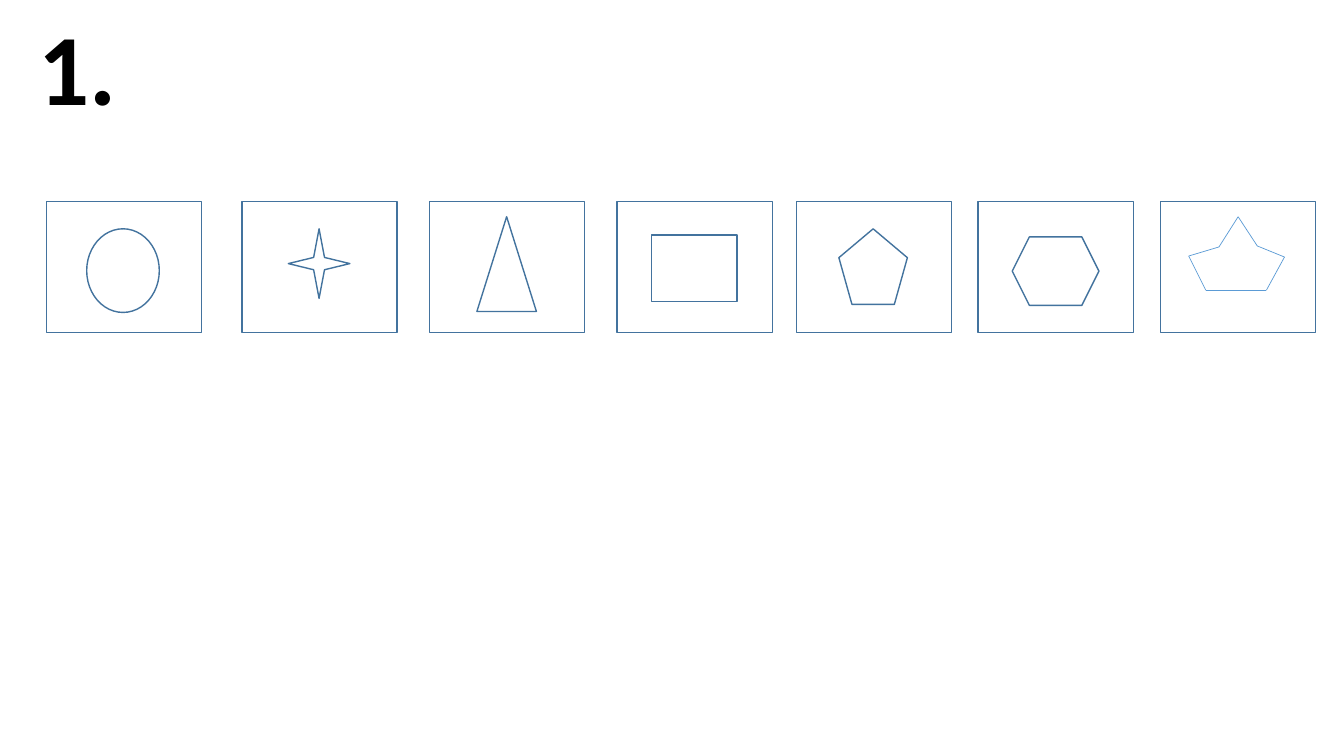
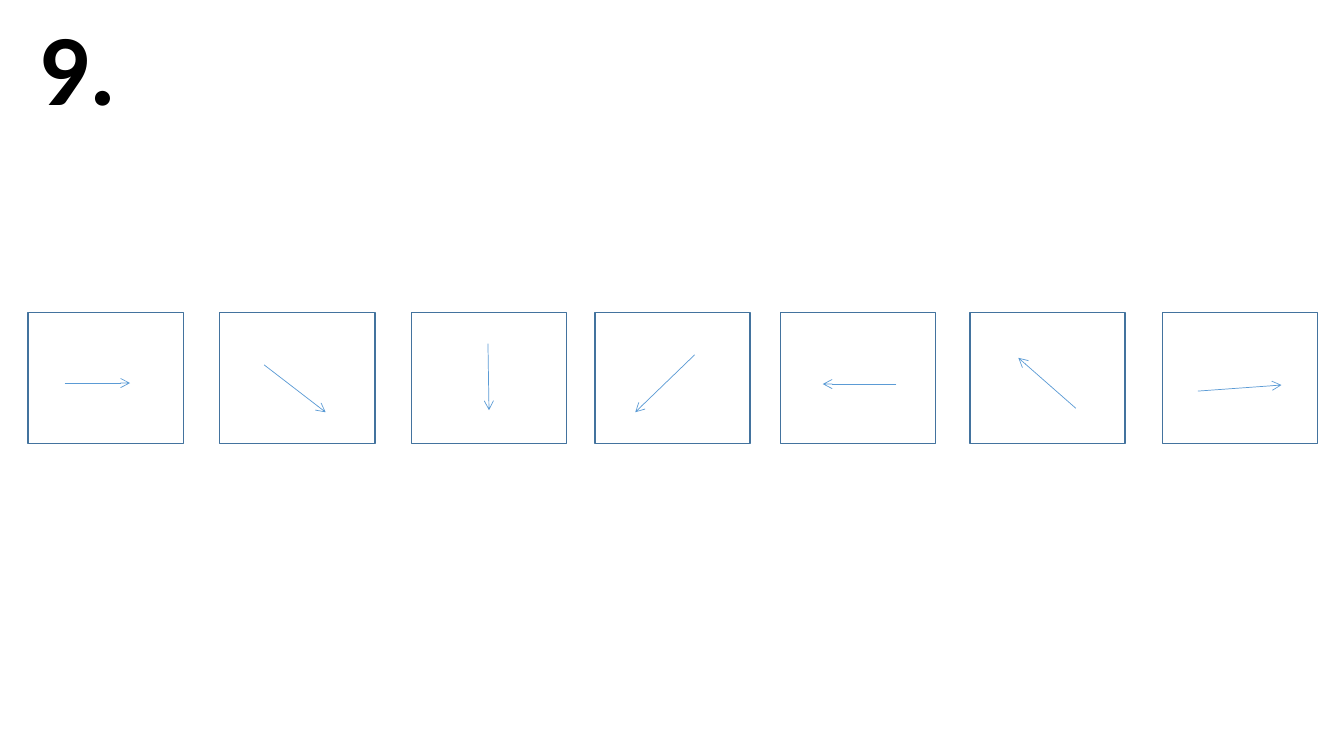
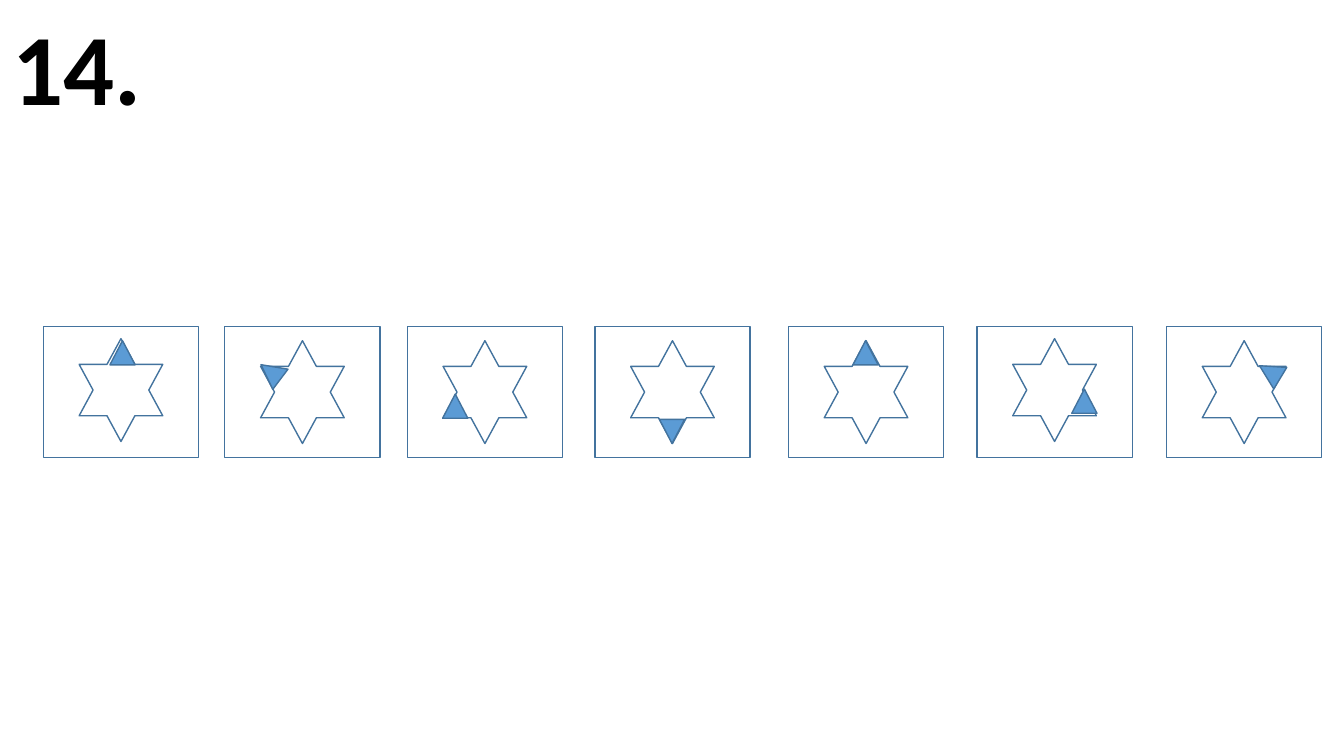
from pptx import Presentation
from pptx.dml.color import RGBColor
from pptx.enum.shapes import MSO_CONNECTOR as Conn, MSO_SHAPE as Geo
from pptx.enum.text import MSO_ANCHOR as Anchor, MSO_AUTO_SIZE as Fit, PP_ALIGN as Align
from pptx.oxml.ns import qn
from pptx.util import Inches, Pt
from lxml.etree import SubElement

# Shared style
HUES = {"ink": "000000", "paper": "FFFFFF", "edge": "43739E", "blue": "5B9BD5"}
FONT = "Calibri"
CARD = (1.54, 1.3)

# Slide 1: a different outline in each card
ROW1 = (2, [0.46, 2.4, 4.26, 6.12, 7.9, 9.7, 11.51])
FORMS = [
    (Geo.OVAL, 0.86, 2.27, 0.72, 0.83),
    (Geo.STAR_4_POINT, 2.86, 2.27, 0.61, 0.69),
    (Geo.ISOSCELES_TRIANGLE, 4.73, 2.15, 0.59, 0.94),
    (Geo.RECTANGLE, 6.46, 2.33, 0.85, 0.66),
    (Geo.REGULAR_PENTAGON, 8.32, 2.27, 0.68, 0.75),
    (Geo.HEXAGON, 10.04, 2.35, 0.86, 0.68),
]
CROWN = [(12.28, 2.15), (12.09, 2.45), (11.79, 2.54), (11.96, 2.88),
         (12.56, 2.88), (12.74, 2.55), (12.47, 2.44)]

# Slide 2: arrows that turn, as start and end points
ROW2 = (3.1, [0.28, 2.18, 4.08, 5.9, 7.74, 9.62, 11.53])
ARROWS = [
    ((0.64, 3.8), (1.29, 3.8)),
    ((2.62, 3.62), (3.23, 4.09)),
    ((4.84, 3.41), (4.85, 4.07)),
    ((6.89, 3.52), (6.3, 4.09)),
    ((8.89, 3.81), (8.16, 3.81)),
    ((10.67, 4.05), (10.1, 3.55)),
    ((11.88, 3.88), (12.71, 3.82)),
]

# Slide 3: star top, then left, top and turn of its filled tip
ROW3 = (3.24, [0.43, 2.23, 4.04, 5.9, 7.82, 9.69, 11.57])
STAR = (0.83, 1.02)
TIP = (0.25, 0.24)
STARS = [
    (3.36, 1.09, 3.38, 0),
    (3.38, 2.56, 3.57, 307),
    (3.38, 4.39, 3.91, 0),
    (3.38, 6.54, 4.16, 180),
    (3.38, 8.46, 3.38, 0),
    (3.36, 10.63, 3.86, 0),
    (3.38, 12.47, 3.57, 301),
]


def hue(name):
    return RGBColor.from_string(HUES[name])


def draw(slide, geo, x, y, w, h, fill="paper", turn=0):
    shape = slide.shapes.add_shape(geo, Inches(x), Inches(y), Inches(w), Inches(h))
    shape.shadow.inherit = False
    shape.rotation = turn
    shape.fill.solid()
    shape.fill.fore_color.rgb = hue(fill)
    shape.line.color.rgb = hue("edge")
    shape.line.width = Pt(1)


def link(slide, start, end, head=False):
    line = slide.shapes.add_connector(Conn.STRAIGHT, *map(Inches, start + end))
    line.line.color.rgb = hue("blue")
    line.line.width = Pt(0.5)
    if head:
        SubElement(line.line._get_or_add_ln(), qn("a:tailEnd"), type="arrow")
    SubElement(line._element.spPr, qn("a:effectLst"))


def start_slide(deck, label, left, width, row):
    slide = deck.slides.add_slide(deck.slide_layouts[5])
    title = slide.shapes.title
    title.left, title.top = Inches(left), Inches(0)
    title.width, title.height = Inches(width), Inches(1.31)
    frame = title.text_frame
    frame.text = label
    frame.word_wrap = False
    # Narrow box: without side margins the label stays on one line
    frame.margin_left = frame.margin_right = 0
    frame.auto_size = Fit.NONE
    frame.vertical_anchor = Anchor.TOP
    para = frame.paragraphs[0]
    para.alignment = Align.CENTER
    font = para.runs[0].font
    font.name, font.size, font.bold = FONT, Pt(72), True
    font.color.rgb = hue("ink")
    top, lefts = row
    for x in lefts:
        draw(slide, Geo.RECTANGLE, x, top, *CARD)
    return slide


def main():
    deck = Presentation()
    deck.slide_width, deck.slide_height = Inches(13.33), Inches(7.5)

    # Outlines
    slide = start_slide(deck, "1.", 0.28, 0.97, ROW1)
    for form in FORMS:
        draw(slide, *form)
    for start, end in zip(CROWN, CROWN[1:] + CROWN[:1]):
        link(slide, start, end)

    # Arrows
    slide = start_slide(deck, "9.", 0.28, 0.97, ROW2)
    for start, end in ARROWS:
        link(slide, start, end, head=True)

    # Stars, each centred across its card, with one filled tip
    slide = start_slide(deck, "14.", 0.02, 1.48, ROW3)
    inset = (CARD[0] - STAR[0]) / 2
    for left, (top, x, y, turn) in zip(ROW3[1], STARS):
        draw(slide, Geo.STAR_6_POINT, left + inset, top, *STAR)
        draw(slide, Geo.ISOSCELES_TRIANGLE, x, y, *TIP, fill="blue", turn=turn)

    deck.save("out.pptx")


if __name__ == "__main__":
    main()
